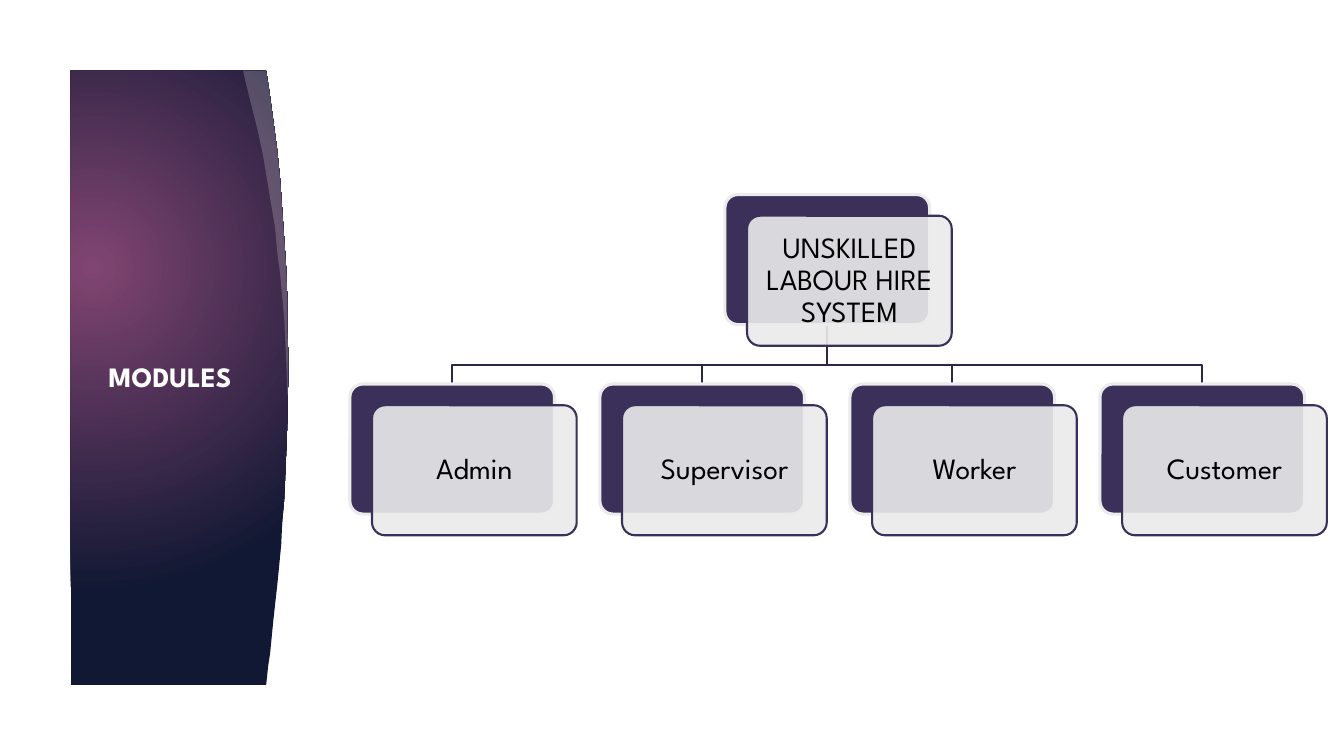
from lxml import etree
from pptx import Presentation
from pptx.dml.color import RGBColor
from pptx.enum.shapes import MSO_SHAPE
from pptx.enum.text import MSO_ANCHOR, PP_ALIGN
from pptx.oxml.ns import qn
from pptx.util import Inches, Pt

ROUND = MSO_SHAPE.ROUNDED_RECTANGLE
MIDDLE = MSO_ANCHOR.MIDDLE
CENTER, LEFT = PP_ALIGN.CENTER, PP_ALIGN.LEFT

PURPLE, PALE, LINK = "3B3059", "EBEBEB", "2F2647"
WHITE, BLACK = "FFFFFF", "000000"

CARD_W, CARD_H = 2.03, 1.29
SHIFT_X, SHIFT_Y = 0.22, 0.21
ROOT_X, ROOT_Y = 7.19, 1.93
ROW_X, ROW_Y, STEP = 3.47, 3.81, 2.48
BUS_Y = 3.62
MODULES = ["Admin", "Supervisor", "Worker", "Customer"]

# Right edge of the panel, split where the sheen ends
UPPER = [(2.64, 0.7), (2.67, 0.89), (2.71, 1.19), (2.75, 1.49), (2.78, 1.79),
         (2.8, 2.09), (2.82, 2.38), (2.84, 2.68), (2.85, 2.97), (2.85, 3.25),
         (2.86, 3.53), (2.86, 3.8), (2.85, 3.94)]
LOWER = [(2.85, 4.2), (2.84, 4.46), (2.83, 4.71), (2.82, 4.95), (2.8, 5.18),
         (2.79, 5.4), (2.77, 5.61), (2.75, 5.81), (2.73, 5.99), (2.71, 6.17),
         (2.68, 6.48), (2.66, 6.61), (2.64, 6.8)]
INNER = [(2.84, 3.6), (2.83, 3.39), (2.82, 3.18), (2.8, 2.95), (2.78, 2.73),
         (2.75, 2.5), (2.73, 2.27), (2.69, 2.03), (2.65, 1.79), (2.61, 1.55),
         (2.56, 1.31), (2.5, 1.07), (2.44, 0.83), (2.41, 0.7)]


def color(code):
    return RGBColor.from_string(code)


class Deck:
    def __init__(self, font):
        self.font = font
        self.prs = Presentation()
        self.prs.slide_width = Inches(13.33)
        self.prs.slide_height = Inches(7.5)
        self.slide = self.prs.slides.add_slide(self.prs.slide_layouts[6])
        self.shapes = self.slide.shapes

    def paint(self, shape, fill=None, alpha=None, line=None, width=1.5):
        """Set fill, opacity in percent and line; None means no paint."""
        shape.shadow.inherit = False
        if fill:
            shape.fill.solid()
            shape.fill.fore_color.rgb = color(fill)
        else:
            shape.fill.background()
        if alpha:
            props = shape.element.find(qn("p:spPr"))
            tone = props.find(qn("a:solidFill"))[0]
            etree.SubElement(tone, qn("a:alpha")).set("val", str(alpha * 1000))
        if line:
            shape.line.color.rgb = color(line)
            shape.line.width = Pt(width)
        else:
            shape.line.fill.background()

    def outline(self, points, close=True, **look):
        start, *rest = [(Inches(x), Inches(y)) for x, y in points]
        pen = self.shapes.build_freeform(*start)
        pen.add_line_segments(rest, close=close)
        shape = pen.convert_to_shape()
        self.paint(shape, **look)
        return shape

    def glow(self, shape, inner, outer, focus):
        """Fill with a round gradient; focus is l, t, r, b in percent."""
        shape.fill.gradient()
        for stop, code in zip(shape.fill.gradient_stops, (inner, outer)):
            stop.color.rgb = color(code)
        grad = shape.element.find(qn("p:spPr")).find(qn("a:gradFill"))
        grad.remove(grad.find(qn("a:lin")))
        way = etree.SubElement(grad, qn("a:path"))
        way.set("path", "circle")
        rect = etree.SubElement(way, qn("a:fillToRect"))
        for side, share in zip("ltrb", focus):
            rect.set(side, str(share * 1000))

    def box(self, x, y, **look):
        shape = self.shapes.add_shape(
            ROUND, Inches(x), Inches(y), Inches(CARD_W), Inches(CARD_H))
        shape.adjustments[0] = 0.1
        self.paint(shape, **look)
        return shape

    def text(self, frame, words, size, code, align, bold=False):
        frame.word_wrap = True
        para = frame.paragraphs[0]
        para.alignment = align
        run = para.add_run()
        run.text = words
        run.font.name = self.font
        run.font.size = Pt(size)
        run.font.bold = bold
        run.font.color.rgb = color(code)
        return para

    def card(self, x, y, words):
        self.box(x, y, fill=PURPLE, line=PALE, width=2.25)
        front = self.box(x + SHIFT_X, y + SHIFT_Y,
                         fill=PALE, alpha=90, line=PURPLE)
        frame = front.text_frame
        frame.vertical_anchor = MIDDLE
        frame.margin_left = frame.margin_right = Inches(0.09)
        frame.margin_top = frame.margin_bottom = Inches(0.09)
        self.text(frame, words, 21, BLACK, CENTER).line_spacing = 0.9

    def label(self, x, y, w, h, words):
        area = self.shapes.add_textbox(
            Inches(x), Inches(y), Inches(w), Inches(h))
        self.text(area.text_frame, words, 20, WHITE, LEFT, bold=True)


def main():
    deck = Deck("League Spartan")

    panel = deck.outline([(0.7, 0.7), *UPPER, *LOWER, (0.7, 6.8)])
    deck.glow(panel, "814572", "111833", (45, 65, 125, 100))
    deck.outline(UPPER + INNER, fill=WHITE, alpha=20)

    mid = ROOT_X + CARD_W / 2
    places = [ROW_X + i * STEP for i in range(len(MODULES))]
    for x in places:
        end = x + CARD_W / 2
        deck.outline([(mid, ROOT_Y + CARD_H), (mid, BUS_Y), (end, BUS_Y),
                      (end, ROW_Y)], close=False, line=LINK)

    deck.card(ROOT_X, ROOT_Y, "UNSKILLED LABOUR HIRE SYSTEM")
    for x, name in zip(places, MODULES):
        deck.card(x, ROW_Y, name)

    deck.label(0.98, 3.52, 1.62, 0.44, "MODULES")
    deck.prs.save("out.pptx")


if __name__ == "__main__":
    main()
